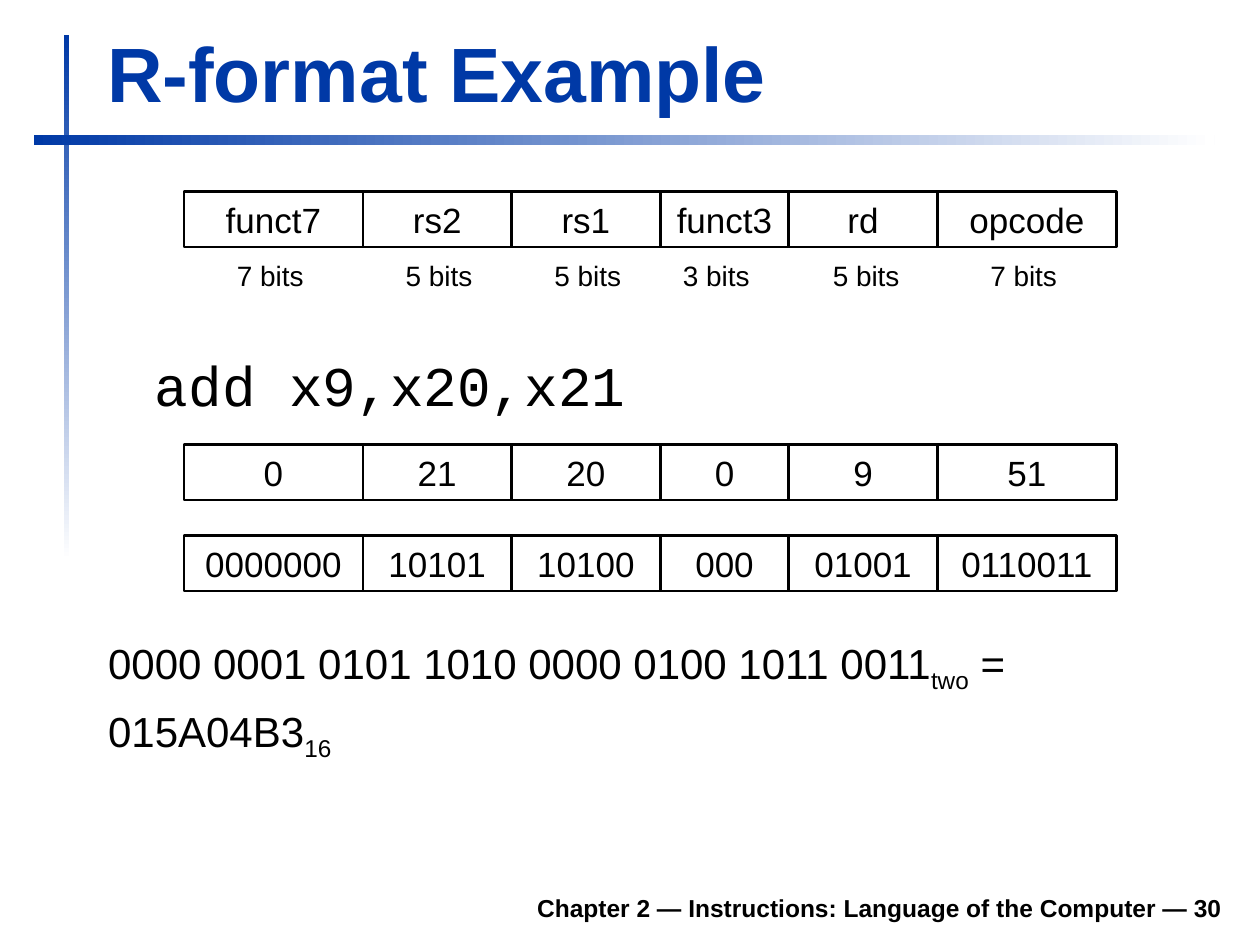
from dataclasses import dataclass
from itertools import accumulate
from pptx import Presentation
from pptx.dml.color import RGBColor
from pptx.enum import shapes, text
from pptx.util import Inches, Pt


@dataclass(frozen=True)
class Theme:
    blue = RGBColor(0x00, 0x39, 0xA6)
    black = RGBColor(0, 0, 0)
    white = RGBColor(255, 255, 255)
    sans = "Arial"
    mono = "Courier New"
    title = 44
    code = 32
    result = 24
    field = 20
    bits = 16
    footer = 14
    line = 1.5


TITLE = "R-format Example"
CODE = "add x9,x20,x21"
FOOTER = "Chapter 2 — Instructions: Language of the Computer — 30"
RESULT = [
    [("0000 0001 0101 1010 0000 0100 1011 0011", False), ("two", True), (" =", False)],
    [("015A04B3", False), ("16", True)],
]
FIELD_WIDTHS = [1.42, 1.18, 1.18, 1.02, 1.18, 1.42]
FIELD_ROWS = [
    (1.52, ["funct7", "rs2", "rs1", "funct3", "rd", "opcode"]),
    (3.53, ["0", "21", "20", "0", "9", "51"]),
    (4.25, ["0000000", "10101", "10100", "000", "01001", "0110011"]),
]
BITS = [("7 bits", 1.78), ("5 bits", 3.12), ("5 bits", 4.3),
        ("3 bits", 5.32), ("5 bits", 6.51), ("7 bits", 7.76)]
RULES = [((0.51, 0.28, 0.04, 4.17), 270), ((0.27, 1.07, 9.37, 0.08), 0)]
FIELD_LEFT, FIELD_HEIGHT = 1.46, 0.44

LEFT, CENTER, RIGHT = text.PP_ALIGN.LEFT, text.PP_ALIGN.CENTER, text.PP_ALIGN.RIGHT
TOP, MIDDLE, BOTTOM = text.MSO_ANCHOR.TOP, text.MSO_ANCHOR.MIDDLE, text.MSO_ANCHOR.BOTTOM

prs = Presentation()
prs.slide_width, prs.slide_height = Inches(10), Inches(7.5)
s = prs.slides.add_slide(prs.slide_layouts[5])


def style(r, size, font=Theme.sans, color=Theme.black, bold=False):
    r.font.size = Pt(size)
    r.font.name = font
    r.font.color.rgb = color
    r.font.bold = bold


def write(sp, words, size, align=LEFT, anchor=TOP, wrap=True, **look):
    tf = sp.text_frame
    tf.text = words
    tf.word_wrap = wrap
    tf.auto_size = text.MSO_AUTO_SIZE.NONE
    tf.vertical_anchor = anchor
    p = tf.paragraphs[0]
    p.alignment = align
    style(p.runs[0], size, **look)
    return p


def rect(*box):
    sp = s.shapes.add_shape(shapes.MSO_SHAPE.RECTANGLE, *map(Inches, box))
    sp.shadow.inherit = False
    return sp


def textbox(*box):
    return s.shapes.add_textbox(*map(Inches, box))


for box, angle in RULES:
    sp = rect(*box)
    sp.line.fill.background()
    sp.fill.gradient()
    sp.fill.gradient_angle = angle
    for stop, color, position in zip(sp.fill.gradient_stops, (Theme.blue, Theme.white), (0, 1)):
        stop.color.rgb = color
        stop.position = position

title = s.shapes.title
title.left, title.top, title.width, title.height = map(Inches, (0.75, 0.16, 9.03, 0.83))
write(title, TITLE, Theme.title, anchor=BOTTOM, color=Theme.blue, bold=True)

lefts = list(accumulate(FIELD_WIDTHS, initial=FIELD_LEFT))
for top, values in FIELD_ROWS:
    for left, width, value in zip(lefts, FIELD_WIDTHS, values):
        sp = rect(left, top, width, FIELD_HEIGHT)
        sp.fill.background()
        sp.line.color.rgb = Theme.black
        sp.line.width = Pt(Theme.line)
        write(sp, value, Theme.field, CENTER, MIDDLE)

for label, left in BITS:
    write(textbox(left, 2, 0.73, 0.37), label, Theme.bits, CENTER, wrap=False)

code = textbox(0.75, 2.73, 9.04, 0.71)
code.text_frame.margin_left = Inches(0.48)
write(code, CODE, Theme.code, font=Theme.mono).space_before = Pt(8)

tf = textbox(0.76, 5.01, 7.94, 1.55).text_frame
tf.word_wrap = True
for i, parts in enumerate(RESULT):
    p = tf.add_paragraph() if i else tf.paragraphs[0]
    p.space_before = Pt(6)
    for words, lowered in parts:
        r = p.add_run()
        r.text = words
        style(r, Theme.result)
        if lowered:
            r.font._element.set("baseline", "-25000")

write(textbox(1.85, 6.98, 7.95, 0.39), FOOTER, Theme.footer, RIGHT, BOTTOM, bold=True)

prs.save("out.pptx")
